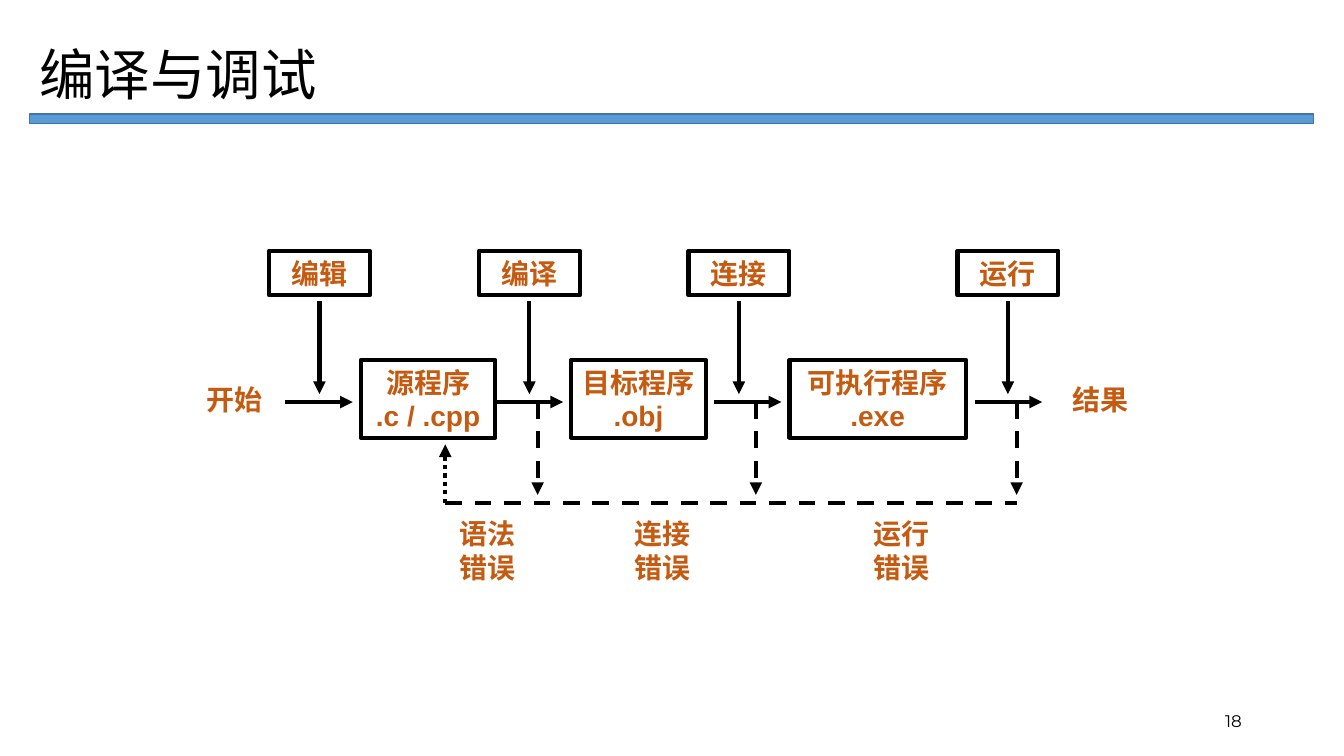
from dataclasses import dataclass

from lxml.etree import SubElement
from pptx import Presentation
from pptx.dml.color import RGBColor
from pptx.enum.dml import MSO_LINE
from pptx.enum.shapes import MSO_CONNECTOR, MSO_SHAPE
from pptx.enum.text import MSO_ANCHOR, MSO_AUTO_SIZE, PP_ALIGN
from pptx.oxml.ns import qn
from pptx.util import Cm, Pt

TITLE = "编译与调试"
PAGE = "18"
ENDS = [("开始", 5.92), ("结果", 27.74)]
STAGES = [
    {"name": "编辑", "center": 8.05, "flow": 7.19},
    {"name": "编译", "center": 13.34, "flow": 12.49},
    {"name": "连接", "center": 18.62, "flow": 17.99},
    {"name": "运行", "center": 25.4, "flow": 24.56},
]
PROGRAMS = [
    ("源程序\n.c / .cpp", 10.79, 3.39),
    ("目标程序\n.obj", 16.09, 3.39),
    ("可执行程序\n.exe", 22.12, 4.45),
]
ERRORS = [("语法\n错误", 12.29), ("连接\n错误", 16.69), ("运行\n错误", 22.71)]


@dataclass(frozen=True)
class Theme:
    ink: RGBColor = RGBColor(0x00, 0x00, 0x00)
    accent: RGBColor = RGBColor(0xC5, 0x5A, 0x11)
    bar: RGBColor = RGBColor(0x5B, 0x9B, 0xD5)
    bar_edge: RGBColor = RGBColor(0x43, 0x73, 0x9E)
    title_size: float = 39.6
    body_size: float = 20
    page_size: float = 12
    stroke: float = 3


THEME = Theme()
LABEL_WIDTH = 2.54
ONE_LINE, TWO_LINES = 1.12, 1.96
STAGE_TOP, PROGRAM_TOP, END_TOP, ERROR_TOP = 6.32, 9.07, 9.5, 12.88
FLOW_Y, FLOW_LENGTH = 10.13, 1.7
STAGE_ARROW = (7.59, 9.93)
FAULT_OFFSET, FAULT_END = 1.06, 12.47
RETURN_X, RETURN_Y, RETURN_TIP = 11.22, 12.67, 11.2


def write(shape, text, *, font="Arial", size=THEME.body_size, color=THEME.accent,
          bold=True, align=PP_ALIGN.CENTER, spacing=None, inset=0.1):
    frame = shape.text_frame
    frame.text = text
    frame.word_wrap = True
    frame.auto_size = MSO_AUTO_SIZE.NONE
    frame.vertical_anchor = MSO_ANCHOR.MIDDLE
    frame.margin_left = frame.margin_right = Cm(inset)
    for paragraph in frame.paragraphs:
        paragraph.alignment = align
        paragraph.line_spacing = spacing
        for run in paragraph.runs:
            run.font.name = font
            run.font.size = Pt(size)
            run.font.bold = bold
            run.font.color.rgb = color


def add_label(slide, text, center, top, height):
    label = slide.shapes.add_textbox(
        Cm(center - LABEL_WIDTH / 2), Cm(top), Cm(LABEL_WIDTH), Cm(height))
    write(label, text)


def add_box(slide, left, top, width, height, edge, stroke, fill=None):
    box = slide.shapes.add_shape(
        MSO_SHAPE.RECTANGLE, Cm(left), Cm(top), Cm(width), Cm(height))
    box.shadow.inherit = False
    if fill is None:
        box.fill.background()
    else:
        box.fill.solid()
        box.fill.fore_color.rgb = fill
    box.line.color.rgb = edge
    box.line.width = Pt(stroke)
    return box


def add_line(slide, start, end, dash=None, arrow=True):
    line = slide.shapes.add_connector(
        MSO_CONNECTOR.STRAIGHT, *(Cm(value) for value in (*start, *end)))
    line.line.color.rgb = THEME.ink
    line.line.width = Pt(THEME.stroke)
    if dash is not None:
        line.line.dash_style = dash
    properties = line._element.spPr
    if arrow:
        SubElement(properties.find(qn("a:ln")), qn("a:tailEnd"), type="triangle")
    SubElement(properties, qn("a:effectLst"))


def main():
    deck = Presentation()
    deck.slide_width, deck.slide_height = Cm(33.87), Cm(19.05)
    slide = deck.slides.add_slide(deck.slide_layouts[5])

    add_box(slide, 0.74, 2.87, 32.36, 0.25, THEME.bar_edge, 1, THEME.bar)
    title = slide.shapes.title
    title.left, title.top, title.width, title.height = (
        Cm(0.74), Cm(1.02), Cm(32.36), Cm(1.85))
    write(title, TITLE, font="Calibri", size=THEME.title_size, color=THEME.ink,
          bold=False, align=PP_ALIGN.LEFT, spacing=0.9, inset=0.25)

    for name, center in ENDS:
        add_label(slide, name, center, END_TOP, ONE_LINE)
    for name, center, width in PROGRAMS:
        program = add_box(slide, center - width / 2, PROGRAM_TOP, width, TWO_LINES,
                          THEME.ink, THEME.stroke)
        write(program, name)
    for name, center in ERRORS:
        add_label(slide, name, center, ERROR_TOP, TWO_LINES)

    for stage in STAGES:
        center, flow = stage["center"], stage["flow"]
        step = add_box(slide, center - LABEL_WIDTH / 2, STAGE_TOP, LABEL_WIDTH,
                       ONE_LINE, THEME.ink, THEME.stroke)
        write(step, stage["name"])
        add_line(slide, (center, STAGE_ARROW[0]), (center, STAGE_ARROW[1]))
        add_line(slide, (flow, FLOW_Y), (flow + FLOW_LENGTH, FLOW_Y))

    faults = [stage["flow"] + FAULT_OFFSET for stage in STAGES[1:]]
    for fault in faults:
        add_line(slide, (fault, FLOW_Y), (fault, FAULT_END), MSO_LINE.DASH)
    add_line(slide, (RETURN_X, RETURN_Y), (faults[-1], RETURN_Y),
             MSO_LINE.DASH, arrow=False)
    add_line(slide, (RETURN_X, RETURN_Y), (RETURN_X, RETURN_TIP), MSO_LINE.ROUND_DOT)

    page = slide.shapes.add_textbox(Cm(23.93), Cm(17.65), Cm(7.62), Cm(1.02))
    write(page, PAGE, font="Montserrat", size=THEME.page_size, color=THEME.ink,
          bold=False, align=PP_ALIGN.RIGHT, inset=0.25)
    deck.save("out.pptx")


if __name__ == "__main__":
    main()
